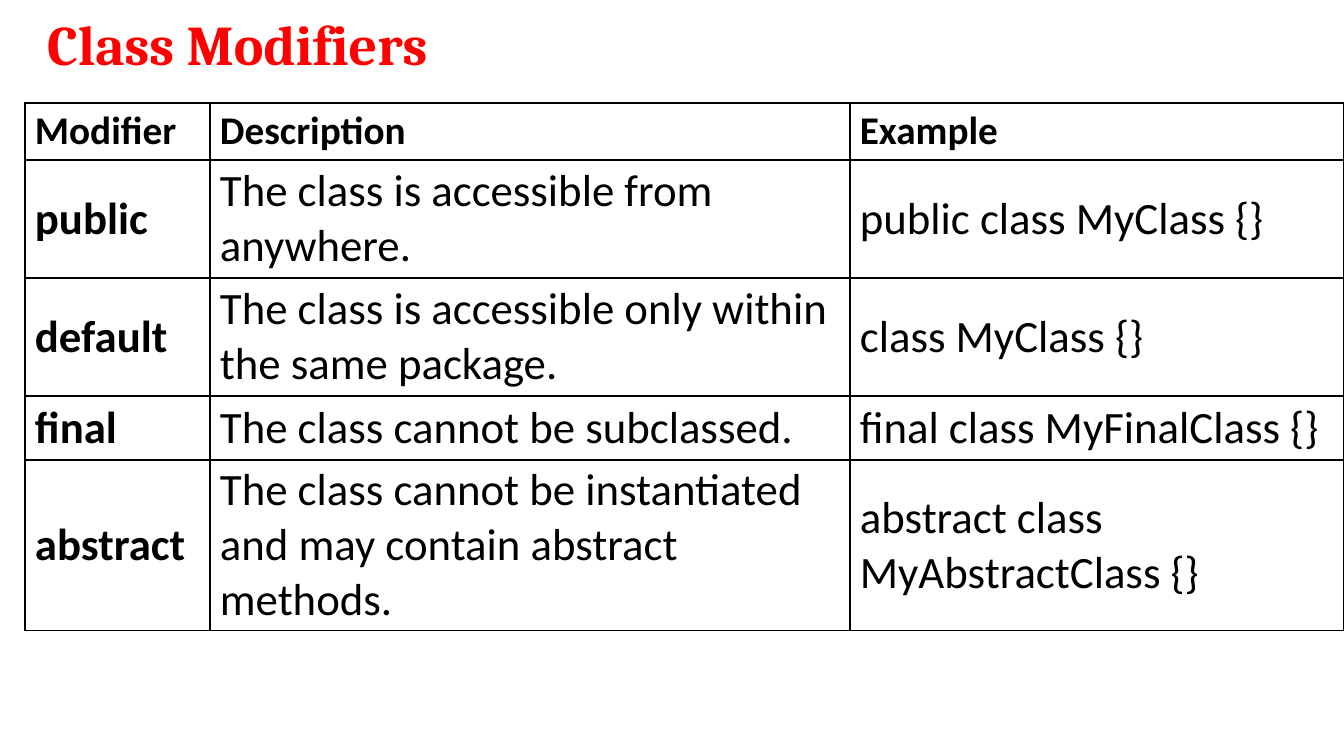
from lxml import etree
from pptx import Presentation
from pptx.dml.color import RGBColor
from pptx.enum.text import MSO_ANCHOR, MSO_AUTO_SIZE, PP_ALIGN
from pptx.oxml.ns import qn
from pptx.util import Emu, Pt

MIDDLE, LEFT, NO_FIT = MSO_ANCHOR.MIDDLE, PP_ALIGN.LEFT, MSO_AUTO_SIZE.NONE
TITLE_ONLY = 5
BLACK, RED = "000000", "FF0000"
COL_WIDTHS = [185, 640, 494]
ROW_HEIGHTS = [57, 118, 118, 64, 171]
MODIFIERS = [
    ("Modifier", "Description", "Example"),
    ("public", "The class is accessible from anywhere.", "public class MyClass {}"),
    ("default", "The class is accessible only within the same package.", "class MyClass {}"),
    ("final", "The class cannot be subclassed.", "final class MyFinalClass {}"),
    ("abstract", "The class cannot be instantiated and may contain abstract methods.",
     "abstract class MyAbstractClass {}"),
]


def px(n):
    return Emu(round(n * 914400 / 100.8))


def rgb(value):
    return RGBColor.from_string(value)


def write(tf, text, color, **fmt):
    p = tf.paragraphs[0]
    p.alignment = LEFT
    r = p.add_run()
    r.text = text
    r.font.color.rgb = rgb(color)
    for name, value in fmt.items():
        setattr(r.font, name, value)


def add_borders(cell):
    """Draw a thin black line on all four sides, before the cell fill is set."""
    tc_pr = cell._tc.get_or_add_tcPr()
    for side in ("a:lnL", "a:lnR", "a:lnT", "a:lnB"):
        ln = etree.SubElement(tc_pr, qn(side), w=str(Pt(1)))
        fill = etree.SubElement(ln, qn("a:solidFill"))
        etree.SubElement(fill, qn("a:srgbClr"), val=BLACK)


def place_title(slide, text, x, y, w, h):
    sp = slide.shapes.title
    sp.left, sp.top, sp.width, sp.height = map(px, (x, y, w, h))
    tf = sp.text_frame
    tf.word_wrap, tf.auto_size, tf.vertical_anchor = True, NO_FIT, MIDDLE
    write(tf, text, RED, name="Cambria", size=Pt(40), bold=True)


def place_table(slide, rows, x, y):
    box = map(px, (x, y, sum(COL_WIDTHS), sum(ROW_HEIGHTS)))
    table = slide.shapes.add_table(len(rows), len(COL_WIDTHS), *box).table
    table.first_row = table.horz_banding = False
    for col, width in zip(table.columns, COL_WIDTHS):
        col.width = px(width)
    for row, height in zip(table.rows, ROW_HEIGHTS):
        row.height = px(height)
    for i, texts in enumerate(rows):
        for j, text in enumerate(texts):
            cell = table.cell(i, j)
            cell.margin_left = cell.margin_right = px(10)
            cell.margin_top = cell.margin_bottom = px(3)
            cell.vertical_anchor = MIDDLE
            add_borders(cell)
            cell.fill.background()
            write(cell.text_frame, text, BLACK, name="Calibri",
                  size=Pt(32 if i else 28), bold=i == 0 or j == 0)


def main():
    prs = Presentation()
    prs.slide_width, prs.slide_height = px(1344), px(756)
    slide = prs.slides.add_slide(prs.slide_layouts[TITLE_ONLY])
    place_title(slide, "Class Modifiers", 37, 4, 671, 78)
    place_table(slide, MODIFIERS, 25, 103)
    prs.save("out.pptx")


if __name__ == "__main__":
    main()
